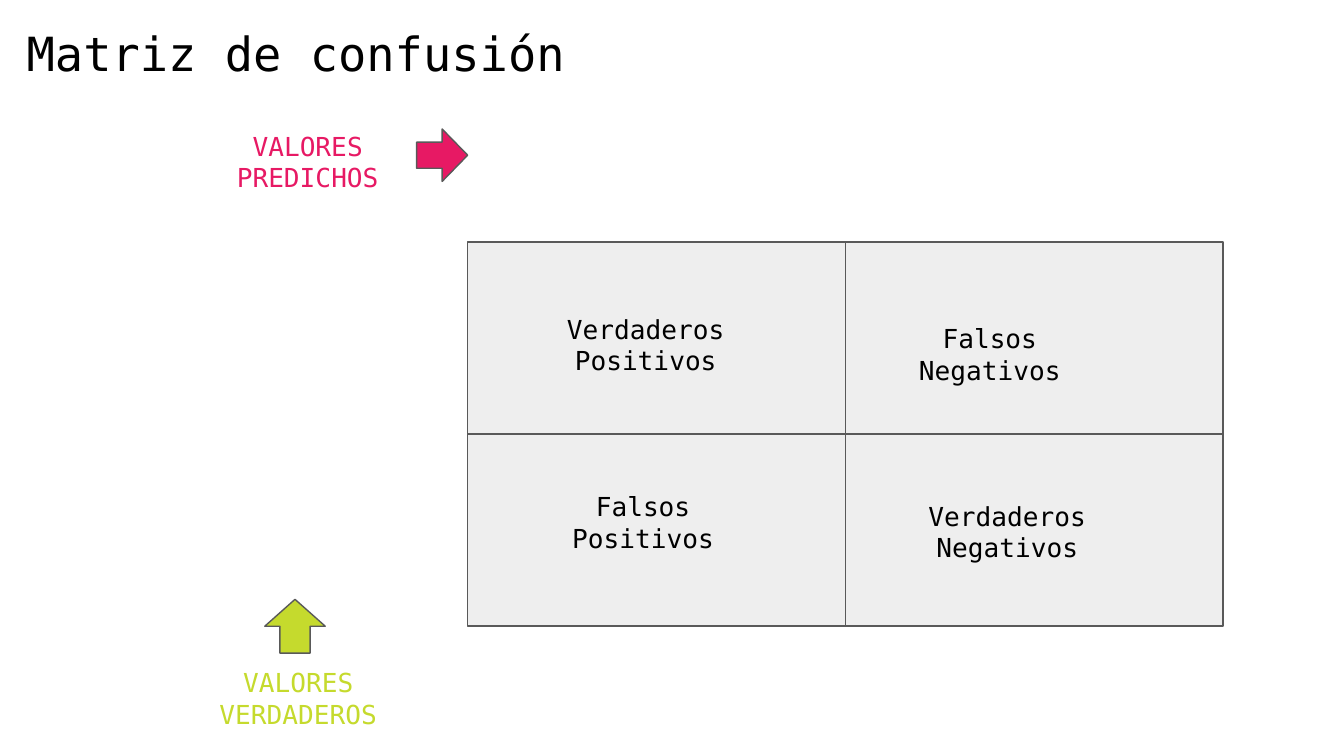
from lxml import etree
from pptx import Presentation
from pptx import util as u
from pptx.dml.color import RGBColor
from pptx.enum import shapes, text
from pptx.oxml.ns import qn

COLORS = {
    "ink": "000000",
    "cell": "EEEEEE",
    "outline": "595959",
    "predicted": "E71964",
    "actual": "C5DA2D",
}


class MatrixSlide:
    """Hold the style and the current slide, and draw its elements."""

    font_name = "DejaVu Sans Mono"
    line_width = u.Pt(0.75)
    frame_format = {
        "word_wrap": True,
        "auto_size": text.MSO_AUTO_SIZE.NONE,
        "vertical_anchor": text.MSO_ANCHOR.TOP,
        "margin_left": u.Inches(0.1),
        "margin_top": u.Inches(0.1),
        "margin_right": u.Inches(0.1),
        "margin_bottom": u.Inches(0.1),
    }

    def __init__(self, presentation):
        self.slide = presentation.slides.add_slide(presentation.slide_layouts[6])

    def color(self, name):
        return RGBColor.from_string(COLORS[name])

    def outline(self, line):
        line.color.rgb = self.color("outline")
        line.width = self.line_width

    def label(self, wording, box, color="ink", size=14, align=text.PP_ALIGN.CENTER):
        shape = self.slide.shapes.add_textbox(*map(u.Inches, box))
        for name, value in self.frame_format.items():
            setattr(shape.text_frame, name, value)
        paragraph = shape.text_frame.paragraphs[0]
        paragraph.alignment = align
        run = paragraph.add_run()
        run.text = wording
        for name, value in {"name": self.font_name, "size": u.Pt(size)}.items():
            setattr(run.font, name, value)
        run.font.color.rgb = self.color(color)

    def block(self, kind, box, fill):
        shape = self.slide.shapes.add_shape(kind, *map(u.Inches, box))
        shape.shadow.inherit = False
        shape.fill.solid()
        shape.fill.fore_color.rgb = self.color(fill)
        self.outline(shape.line)
        return shape

    def divider(self, rectangle, begin_side, end_side):
        connector = self.slide.shapes.add_connector(
            shapes.MSO_CONNECTOR.STRAIGHT, 0, 0, 0, 0
        )
        connector.begin_connect(rectangle, begin_side)
        connector.end_connect(rectangle, end_side)
        self.outline(connector.line)
        etree.SubElement(connector._element.spPr, qn("a:effectLst"))


def main():
    presentation = Presentation()
    presentation.slide_width = u.Inches(10)
    presentation.slide_height = presentation.slide_width * 9 // 16
    slide = MatrixSlide(presentation)

    slide.label("Matriz de confusión", (0.1, 0.08, 5.14, 0.53),
                size=25.2, align=text.PP_ALIGN.LEFT)

    matrix = slide.block(shapes.MSO_SHAPE.RECTANGLE, (3.48, 1.8, 5.62, 2.86), "cell")
    for begin_side, end_side in ((0, 2), (1, 3)):
        slide.divider(matrix, begin_side, end_side)

    slide.block(shapes.MSO_SHAPE.RIGHT_ARROW, (3.1, 0.96, 0.38, 0.39), "predicted")
    slide.block(shapes.MSO_SHAPE.UP_ARROW, (1.97, 4.46, 0.45, 0.4), "actual")

    for wording, left, top, width, color in (
        ("VALORES VERDADEROS", 1.43, 4.86, 1.58, "actual"),
        ("VALORES PREDICHOS", 1.65, 0.87, 1.28, "predicted"),
        ("Verdaderos Positivos", 3.9, 2.23, 1.81, "ink"),
        ("Falsos Negativos", 6.67, 2.3, 1.39, "ink"),
        ("Falsos Positivos", 4.09, 3.55, 1.39, "ink"),
        ("Verdaderos Negativos", 6.8, 3.62, 1.39, "ink"),
    ):
        slide.label(wording, (left, top, width, 0.67), color)

    presentation.save("out.pptx")


if __name__ == "__main__":
    main()
